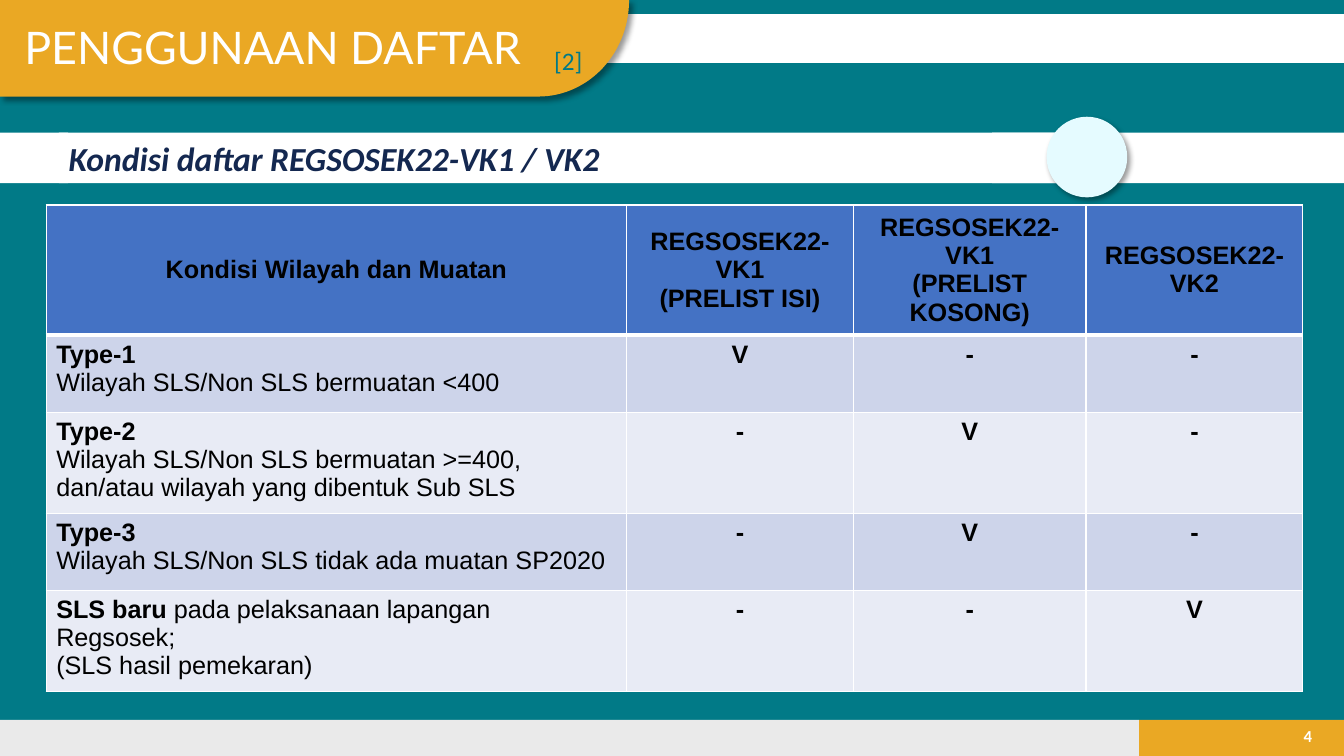
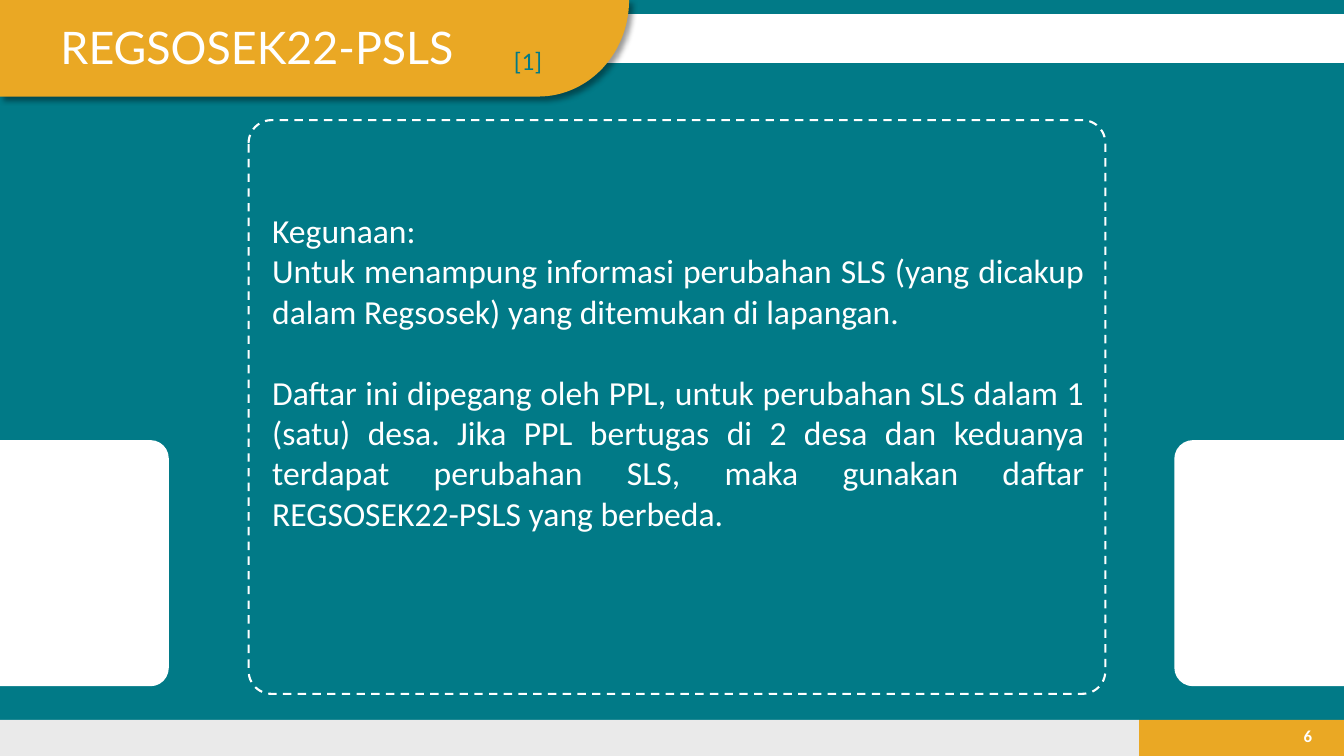
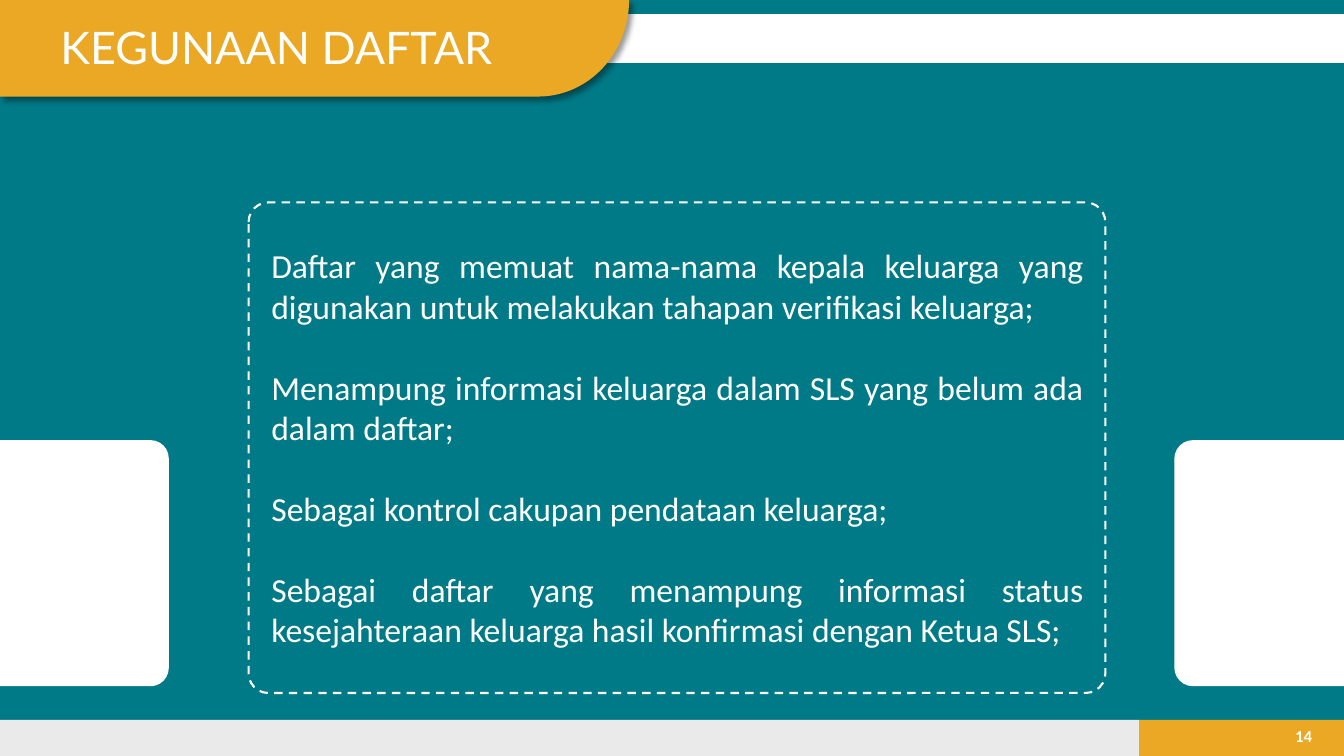
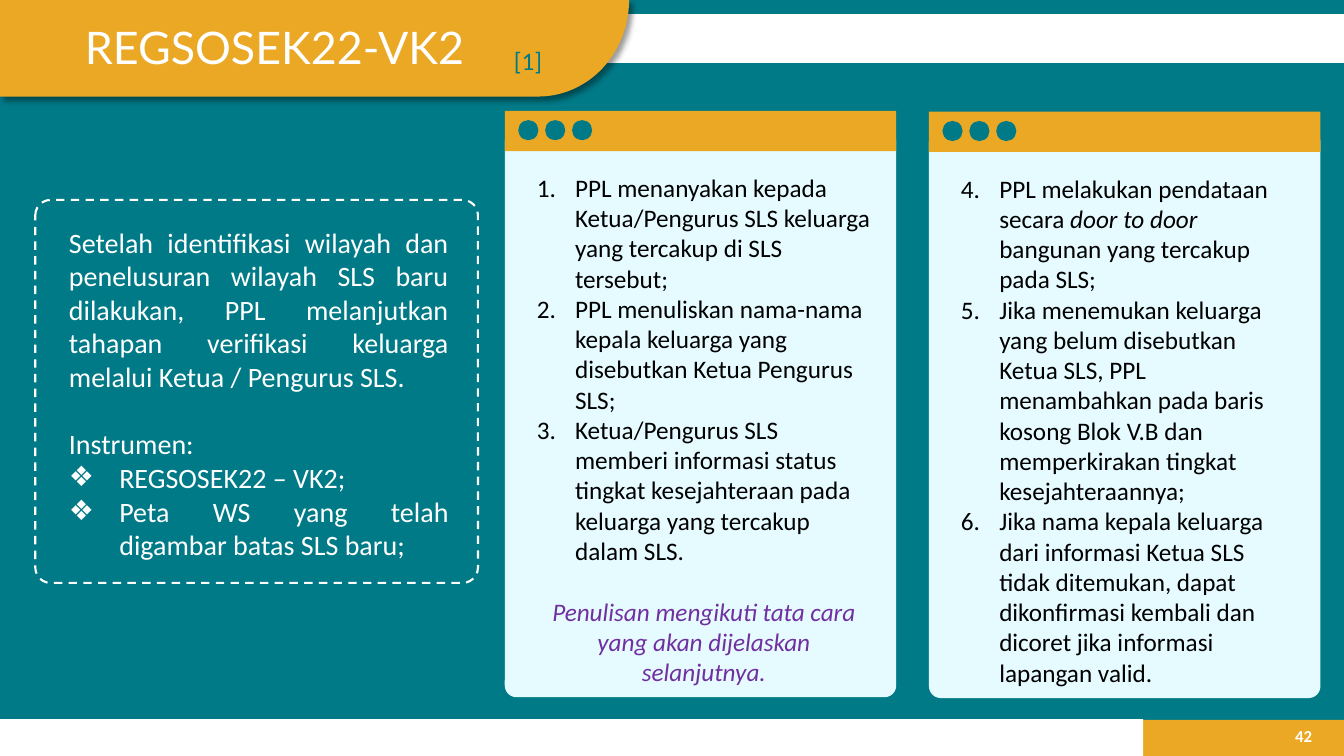
from collections import namedtuple
from math import cos, pi, sin

from lxml import etree
from pptx import Presentation
from pptx import util as u
from pptx.dml.color import RGBColor
from pptx.enum import dml, shapes, text
from pptx.oxml.ns import qn

COLORS = {
    "teal": "017A87", "gold": "EAA824", "grey": "EAEAEA", "white": "FFFFFF",
    "ice": "E5FBFF", "navy": "142850", "black": "000000", "purple": "7030A0",
    "header": "4472C4", "odd": "CDD4EA", "even": "E8EBF5",
}
COLUMNS, ROWS = 160, 90
CELL = u.Inches(7.5) // ROWS
SHAPE = shapes.MSO_SHAPE
ALIGN = text.PP_ALIGN
ANCHOR = text.MSO_ANCHOR

Line = namedtuple("Line", "runs before align number bullet", defaults=(0, None, None, None))


def child(parent, tag, **attributes):
    """Append a drawing element to a parent."""
    element = etree.SubElement(parent, qn("a:" + tag))
    for key, value in attributes.items():
        element.set(key, str(value))
    return element


class Deck:
    """Holds the shared style and the slide being built."""

    def __init__(self):
        self.prs = Presentation()
        self.prs.slide_width = COLUMNS * CELL
        self.prs.slide_height = ROWS * CELL
        self.paint(self.prs.slide_master.background.fill, "teal")
        self.slide = None

    def paint(self, fill, color):
        fill.solid()
        fill.fore_color.rgb = RGBColor.from_string(COLORS[color])

    def grid(self, *lengths):
        return [u.Emu(round(length * CELL)) for length in lengths]

    def finish(self, shape, color, raised=False):
        shape.shadow.inherit = False
        shape.line.fill.background()
        if color:
            self.paint(shape.fill, color)
        else:
            shape.fill.background()
        if raised:
            effects = shape._element.spPr.find(qn("a:effectLst"))
            shadow = child(effects, "outerShdw", blurRad=u.Pt(4), dist=u.Pt(3),
                           dir=45 * 60000, algn="tl", rotWithShape=0)
            child(child(shadow, "srgbClr", val=COLORS["black"]), "alpha", val=40000)
        return shape

    def shape(self, kind, area, color, corner=None, raised=False):
        shape = self.slide.shapes.add_shape(kind, *self.grid(*area))
        if corner is not None:
            shape.adjustments[0] = corner
        return self.finish(shape, color, raised)

    def add_lines(self, frame, lines, size, color, font="Calibri", bold=False, italic=False, align=ALIGN.LEFT):
        for index, line in enumerate(lines):
            if not isinstance(line, Line):
                line = Line(line)
            paragraph = frame.paragraphs[0] if index == 0 else frame.add_paragraph()
            paragraph.alignment = line.align or align
            paragraph.line_spacing = 1.0
            paragraph.space_before = u.Pt(line.before)
            paragraph.space_after = u.Pt(0)
            self.mark(paragraph._p.get_or_add_pPr(), line)
            for part in [line.runs] if isinstance(line.runs, str) else line.runs:
                words, change = (part, {}) if isinstance(part, str) else part
                for row, piece in enumerate(words.split("\n")):
                    if row:
                        paragraph.add_line_break()
                    run = paragraph.add_run()
                    run.text = piece
                    run.font.name = font
                    run.font.size = u.Pt(size)
                    run.font.bold = change.get("bold", bold)
                    run.font.italic = change.get("italic", italic)
                    tint = COLORS[change.get("color", color)]
                    run.font.color.rgb = RGBColor.from_string(tint)

    def mark(self, properties, line):
        indent = u.Inches(0.38 if line.number else 0.5 if line.bullet else 0)
        properties.set("marL", str(indent))
        properties.set("indent", str(-indent))
        if line.number:
            child(properties, "buFont", typeface="+mj-lt")
            child(properties, "buAutoNum", type="arabicPeriod", startAt=line.number)
        elif line.bullet:
            child(properties, "buChar", char=line.bullet)
        else:
            child(properties, "buNone")

    def fit(self, frame, anchor=ANCHOR.TOP):
        frame.word_wrap = True
        frame.auto_size = text.MSO_AUTO_SIZE.NONE
        frame.vertical_anchor = anchor
        frame.margin_left = frame.margin_right = u.Inches(0.1)
        frame.margin_top = frame.margin_bottom = u.Inches(0.05)
        return frame

    def label(self, area, words, size, color, anchor=ANCHOR.TOP, **style):
        box = self.slide.shapes.add_textbox(*self.grid(*area))
        self.add_lines(self.fit(box.text_frame, anchor), [words], size, color, **style)

    def place(self, holder, area, lines, size, color, **style):
        holder.left, holder.top, holder.width, holder.height = self.grid(*area)
        self.slide.shapes._spTree.append(holder._element)
        self.add_lines(self.fit(holder.text_frame), lines, size, color, **style)

    def body(self, area, lines, size, color, **style):
        holder = next(h for h in self.slide.placeholders if not h.text_frame.text)
        self.place(holder, area, lines, size, color, **style)

    def tab(self, right=74.9, bottom=11.5, curve=10.8, steps=30):
        angles = [pi / 2 * step / steps for step in range(steps + 1)]
        arc = [(right - curve + curve * cos(a), bottom * sin(a)) for a in angles]
        outline = self.slide.shapes.build_freeform(0, 0, scale=1.0)
        outline.add_line_segments([self.grid(*point) for point in arc + [(0, bottom)]])
        self.finish(outline.convert_to_shape(), "gold", raised=True)

    def start(self, layout, title, number, left=6, part=None, part_left=60,
              footer="grey", footer_top=85.7, footer_width=135.6):
        self.slide = self.prs.slides.add_slide(self.prs.slide_layouts[layout])
        self.shape(SHAPE.RECTANGLE, (135.6, 85.7, 24.4, 4.3), "gold")
        self.shape(SHAPE.RECTANGLE, (0, footer_top, footer_width, ROWS - footer_top), footer)
        self.shape(SHAPE.RECTANGLE, (60.6, 1.7, 99.4, 5.8), "white")
        self.tab()
        self.label((151.8, 85.2, 5.6, 4.8), number, 12, "white", ANCHOR.MIDDLE,
                   bold=True, align=ALIGN.RIGHT)
        self.place(self.slide.shapes.title, (left, 1.7, 66.3 - left, 7.7),
                   [title], 32, "white", font="Lato")
        if part:
            self.label((part_left, 4.8, 7, 4.8), part, 18, "teal")

    def dashed(self, *area):
        outline = self.shape(SHAPE.ROUNDED_RECTANGLE, area, None, 0.04)
        self.paint(outline.line.fill, "white")
        outline.line.width = u.Pt(1.5)
        outline.line.dash_style = dml.MSO_LINE.DASH

    def side_cards(self):
        for left, width in ((-4.1, 24.2), (139.8, 24.8)):
            self.shape(SHAPE.ROUNDED_RECTANGLE, (left, 52.4, width, 29.3), "white", 0.09)

    def window(self, left, top, lines):
        self.shape(SHAPE.ROUNDED_RECTANGLE, (left, top + 2.2, 46.6, 67.6), "ice", 0.03)
        self.shape(SHAPE.RECTANGLE, (left, top, 46.6, 4.8), "gold")
        for dot in range(3):
            self.shape(SHAPE.OVAL, (left + 1.6 + 3.2 * dot, top + 1.1, 2.4, 2.4), "teal")
        self.body((left + 2.6, top + 6.7, 42.2, 63), lines, 18, "black")

    def table(self, left, top, widths, heights, rows):
        area = self.grid(left, top, sum(widths), sum(heights))
        table = self.slide.shapes.add_table(len(rows), len(widths), *area).table
        for column, width in zip(table.columns, self.grid(*widths)):
            column.width = width
        for row, height in zip(table.rows, self.grid(*heights)):
            row.height = height
        for r, row in enumerate(rows):
            for c, lines in enumerate(row):
                cell = table.cell(r, c)
                cell.vertical_anchor = ANCHOR.TOP if r else ANCHOR.MIDDLE
                for side in "LRTB":
                    heavy = (r, side) in ((0, "B"), (1, "T"))
                    edge = child(cell._tc.get_or_add_tcPr(), "ln" + side, w=u.Pt(3 if heavy else 1))
                    child(child(edge, "solidFill"), "srgbClr", val=COLORS["white"])
                self.paint(cell.fill, "header" if r == 0 else "odd" if r % 2 else "even")
                self.add_lines(cell.text_frame, lines, 18, "black", font="Arial", bold=True,
                               align=ALIGN.LEFT if r and c == 0 else ALIGN.CENTER)

    def save(self):
        for slide in self.prs.slides:
            for holder in list(slide.placeholders):
                if not holder.text_frame.text:
                    holder._element.getparent().remove(holder._element)
        self.prs.save("out.pptx")


def list_usage(deck):
    """Build the table of list conditions."""
    deck.start(5, "PENGGUNAAN DAFTAR", "4", left=1.7, part="[2]", part_left=64.8)
    heading = deck.shape(SHAPE.RECTANGLE, (7, 15.8, 121.2, 6), "white")
    deck.add_lines(deck.fit(heading.text_frame), ["Kondisi daftar REGSOSEK22-VK1 / VK2"],
                   24, "navy", bold=True, italic=True)
    deck.shape(SHAPE.RECTANGLE, (118.1, 15.8, 41.9, 6), "white")
    deck.shape(SHAPE.OVAL, (124.6, 13.9, 9.6, 9.6), "ice", raised=True)
    deck.shape(SHAPE.RECTANGLE, (0, 15.8, 8.1, 6), "white")
    plain = {"bold": False}
    conditions = [
        (["Type-1", [("Wilayah SLS/Non SLS bermuatan <400", plain)]], "V--"),
        (["Type-2", [("Wilayah SLS/Non SLS bermuatan >=400, dan/atau wilayah yang dibentuk Sub SLS", plain)]], "-V-"),
        (["Type-3", [("Wilayah SLS/Non SLS tidak ada muatan SP2020", plain)]], "-V-"),
        ([["SLS baru ", ("pada pelaksanaan lapangan Regsosek;\n(SLS hasil pemekaran)", plain)]], "--V"),
    ]
    header = [["Kondisi Wilayah dan Muatan"], ["REGSOSEK22-VK1", "(PRELIST ISI)"],
              ["REGSOSEK22-VK1", "(PRELIST KOSONG)"], ["REGSOSEK22-VK2"]]
    rows = [header] + [[condition, *([mark] for mark in marks)] for condition, marks in conditions]
    deck.table(5.5, 24.4, (69.1, 27, 27.7, 25.8), (15.5, 9.2, 12, 9.2, 12), rows)


def change_list(deck):
    """Build the purpose of the change list."""
    deck.start(1, "REGSOSEK22-PSLS", "6", part="[1]")
    deck.side_cards()
    deck.dashed(29.6, 14.3, 102, 68.3)
    deck.body((31.2, 24.4, 99.1, 49.7), [
        "Kegunaan:",
        "Untuk menampung informasi perubahan SLS (yang dicakup dalam Regsosek) yang ditemukan di lapangan.",
        Line("Daftar ini dipegang oleh PPL, untuk perubahan SLS dalam 1 (satu) desa. Jika PPL bertugas di 2 desa dan keduanya terdapat perubahan SLS, maka gunakan daftar REGSOSEK22-PSLS yang berbeda.", 29),
    ], 24, "white", align=ALIGN.JUSTIFY)


def list_purpose(deck):
    """Build the purposes of the family list."""
    deck.start(1, "KEGUNAAN DAFTAR", "14")
    deck.side_cards()
    deck.dashed(29.6, 24.1, 102, 58.4)
    purposes = [
        "Daftar yang memuat nama-nama kepala keluarga yang digunakan untuk melakukan tahapan verifikasi keluarga;",
        "Menampung informasi keluarga dalam SLS yang belum ada dalam daftar;",
        "Sebagai kontrol cakupan pendataan keluarga;",
        "Sebagai daftar yang menampung informasi status kesejahteraan keluarga hasil konfirmasi dengan Ketua SLS;",
    ]
    deck.body((31.1, 28.6, 99.1, 54.5),
              [Line(purpose, 29 if index else 0) for index, purpose in enumerate(purposes)],
              24, "white", align=ALIGN.JUSTIFY)


def family_steps(deck):
    """Build the steps of family verification."""
    deck.start(4, "REGSOSEK22-VK2", "42", left=8.9, part="[1]",
               footer="white", footer_top=85.6, footer_width=136.1)
    first_steps = [
        "PPL menanyakan kepada Ketua/Pengurus SLS keluarga yang tercakup di SLS tersebut;",
        "PPL menuliskan nama-nama kepala keluarga yang disebutkan Ketua Pengurus SLS;",
        "Ketua/Pengurus SLS memberi informasi status tingkat kesejahteraan pada keluarga yang tercakup dalam SLS.",
    ]
    next_steps = [
        ["PPL melakukan pendataan secara ", ("door to door", {"italic": True}),
         " bangunan yang tercakup pada SLS;"],
        "Jika menemukan keluarga yang belum disebutkan Ketua SLS, PPL menambahkan pada baris kosong Blok V.B dan memperkirakan tingkat kesejahteraannya;",
        "Jika nama kepala keluarga dari informasi Ketua SLS tidak ditemukan, dapat dikonfirmasi kembali dan dicoret jika informasi lapangan valid.",
    ]
    closing = Line([("Penulisan mengikuti tata cara yang akan dijelaskan selanjutnya.",
                     {"color": "purple", "italic": True})], 22, ALIGN.CENTER)
    deck.window(60.1, 13.2, [Line(step, number=1) for step in first_steps] + [closing])
    deck.window(110.6, 13.3, [Line(step, number=4) for step in next_steps])
    deck.dashed(4.2, 23.8, 52.7, 45.6)
    deck.body((7, 26.2, 47.6, 41.6), [
        "Setelah identifikasi wilayah dan penelusuran wilayah SLS baru dilakukan, PPL melanjutkan tahapan verifikasi keluarga melalui Ketua / Pengurus SLS.",
        Line("Instrumen:", 24),
        Line("REGSOSEK22 – VK2;", bullet="❖"),
        Line("Peta WS yang telah digambar batas SLS baru;", bullet="❖"),
    ], 20, "white", align=ALIGN.JUSTIFY)


def main():
    """Build and save the deck."""
    deck = Deck()
    for build in (list_usage, change_list, list_purpose, family_steps):
        build(deck)
    deck.save()


if __name__ == "__main__":
    main()
